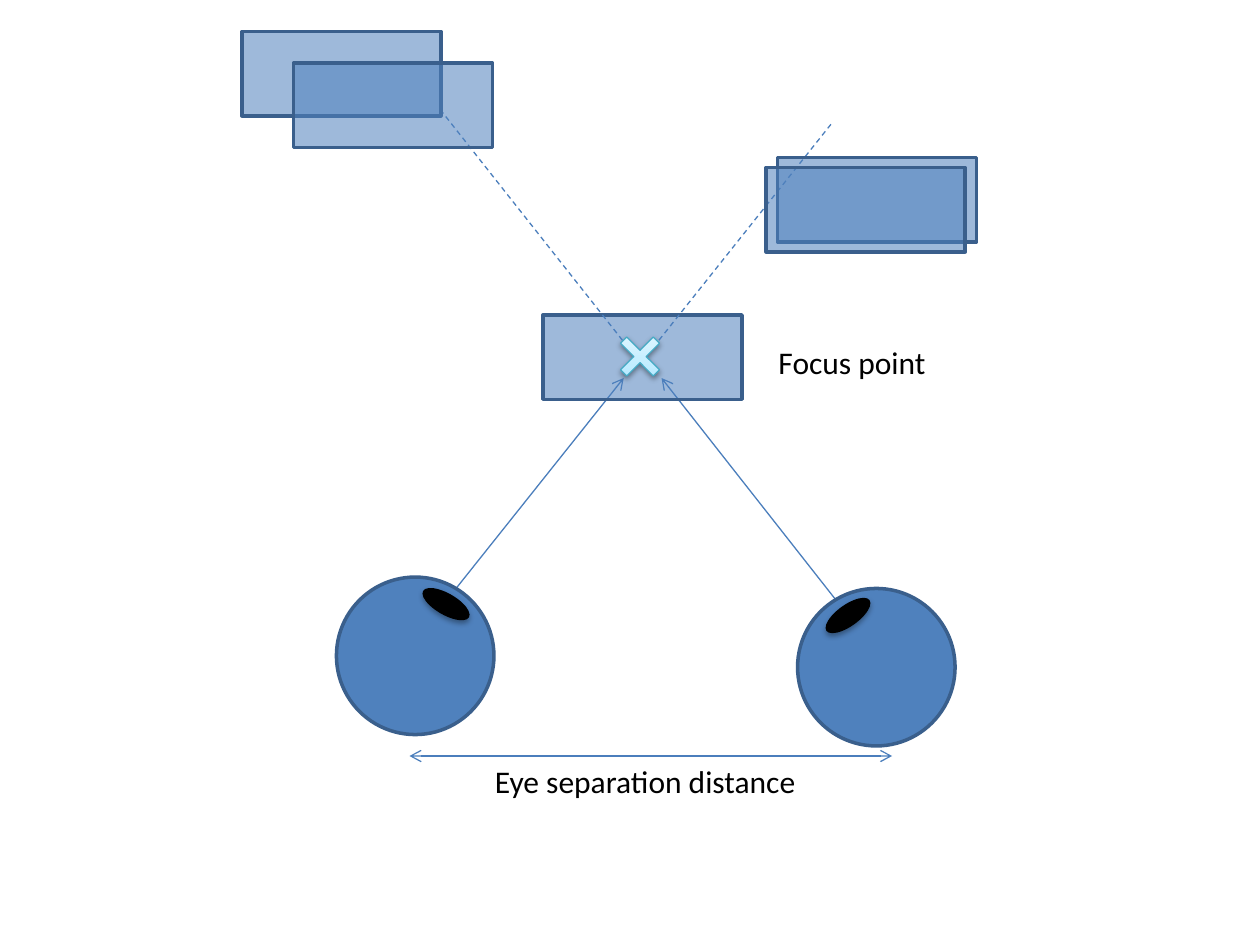
from copy import deepcopy
from dataclasses import dataclass
from typing import Optional

from lxml.etree import SubElement
from pptx import Presentation
from pptx.dml.color import RGBColor
from pptx.enum.dml import MSO_LINE
from pptx.enum.shapes import MSO_CONNECTOR, MSO_SHAPE
from pptx.enum.text import MSO_AUTO_SIZE
from pptx.oxml.ns import qn
from pptx.util import Inches, Pt

BLUE = RGBColor(0x4F, 0x81, 0xBD)
OUTLINE = RGBColor(0x3A, 0x5F, 0x8C)
RAY = RGBColor(0x4B, 0x7E, 0xBC)
CROSS_EDGE = RGBColor(0x46, 0xAA, 0xC5)
BLACK = RGBColor(0x00, 0x00, 0x00)
CROSS_STOPS = (
    (0, RGBColor(0xA7, 0xE6, 0xFF)),
    (0.35, RGBColor(0xC1, 0xED, 0xFF)),
    (1, RGBColor(0xE7, 0xF8, 0xFF)),
)
FONT = {"name": "Calibri", "size": Pt(18)}
FRAME = {"word_wrap": False, "auto_size": MSO_AUTO_SIZE.SHAPE_TO_FIT_TEXT}


@dataclass(frozen=True)
class Line:
    start: tuple[float, float]
    end: tuple[float, float]
    head: bool = False
    tail: bool = False
    dashed: bool = False


@dataclass(frozen=True)
class Figure:
    kind: MSO_SHAPE
    left: float
    top: float
    width: float
    height: float
    fill: Optional[RGBColor] = BLUE
    outline: Optional[RGBColor] = OUTLINE
    weight: float = 2
    opacity: int = 100
    rotation: float = 0
    shadow: int = 0


@dataclass(frozen=True)
class Label:
    text: str
    left: float
    top: float
    width: float


def panel(left: float, top: float) -> Figure:
    return Figure(MSO_SHAPE.RECTANGLE, left, top, 1.58, 0.67, opacity=55)


def eye(left: float, top: float) -> Figure:
    return Figure(MSO_SHAPE.OVAL, left, top, 1.25, 1.25)


def pupil(left: float, top: float, rotation: float) -> Figure:
    return Figure(MSO_SHAPE.OVAL, left, top, 0.42, 0.17, fill=BLACK,
                  outline=None, rotation=rotation, shadow=35)


SCENE = (
    Line((3.58, 4.72), (4.95, 3), tail=True),
    Line((6.68, 4.82), (5.25, 3), tail=True),
    eye(2.67, 4.58),
    eye(6.33, 4.67),
    pupil(3.33, 4.71, 29.9),
    pupil(6.52, 4.8, 324.5),
    panel(4.31, 2.5),
    Figure(MSO_SHAPE.MATH_MULTIPLY, 4.83, 2.58, 0.5, 0.5, fill=None,
           outline=CROSS_EDGE, weight=0.75, shadow=38),
    Line((5.23, 2.7), (6.6, 0.98), dashed=True),
    Line((4.94, 2.7), (3.51, 0.89), dashed=True),
    panel(1.92, 0.25),
    panel(2.33, 0.5),
    panel(6.17, 1.25),
    panel(6.08, 1.33),
    Label("Focus point", 6.08, 2.67, 1.51),
    Line((3.25, 6), (7.08, 6), head=True, tail=True),
    Label("Eye separation distance", 3.83, 6, 2.89),
)


def draw_line(page, line: Line) -> None:
    points = [Inches(value) for value in line.start + line.end]
    connector = page.shapes.add_connector(MSO_CONNECTOR.STRAIGHT, *points)
    connector.line.color.rgb = RAY
    connector.line.width = Pt(0.75)
    if line.dashed:
        connector.line.dash_style = MSO_LINE.DASH
    properties = connector._element.spPr
    outline = properties.find(qn("a:ln"))
    for tag, shown in (("a:headEnd", line.head), ("a:tailEnd", line.tail)):
        if shown:
            SubElement(outline, qn(tag), type="arrow")
    SubElement(properties, qn("a:effectLst"))


def fill_cross(shape) -> None:
    shape.adjustments[0] = 0.139
    shape.fill.gradient()
    shape.fill.gradient_angle = 90
    stop_list = shape._element.spPr.find(".//" + qn("a:gsLst"))
    stop_list.append(deepcopy(stop_list[0]))
    for stop, (position, color) in zip(shape.fill.gradient_stops, CROSS_STOPS):
        stop.position = position
        stop.color.rgb = color


def add_shadow(shape, opacity: int) -> None:
    effects = shape._element.spPr.find(qn("a:effectLst"))
    outer = SubElement(effects, qn("a:outerShdw"), blurRad=str(Pt(3.1)),
                       dist=str(Pt(1.7)), dir="5400000", rotWithShape="0")
    color = SubElement(outer, qn("a:srgbClr"), val=str(BLACK))
    SubElement(color, qn("a:alpha"), val=str(opacity * 1000))


def draw_figure(page, figure: Figure) -> None:
    bounds = (figure.left, figure.top, figure.width, figure.height)
    shape = page.shapes.add_shape(figure.kind, *map(Inches, bounds))
    shape.rotation = figure.rotation
    shape.shadow.inherit = False
    if figure.fill is None:
        fill_cross(shape)
    else:
        shape.fill.solid()
        shape.fill.fore_color.rgb = figure.fill
    if figure.opacity < 100:
        color = shape._element.spPr.find(qn("a:solidFill"))[0]
        SubElement(color, qn("a:alpha"), val=str(figure.opacity * 1000))
    if figure.outline is None:
        shape.line.fill.background()
    else:
        shape.line.color.rgb = figure.outline
        shape.line.width = Pt(figure.weight)
    if figure.shadow:
        add_shadow(shape, figure.shadow)


def draw_label(page, label: Label) -> None:
    bounds = (label.left, label.top, label.width, 0.4)
    box = page.shapes.add_textbox(*map(Inches, bounds))
    for name, value in FRAME.items():
        setattr(box.text_frame, name, value)
    span = box.text_frame.paragraphs[0].add_run()
    span.text = label.text
    for name, value in FONT.items():
        setattr(span.font, name, value)
    span.font.color.rgb = BLACK


DRAWERS = {Line: draw_line, Figure: draw_figure, Label: draw_label}

deck = Presentation()
deck.slide_width, deck.slide_height = Inches(10), Inches(7.5)
page = deck.slides.add_slide(deck.slide_layouts[6])
for item in SCENE:
    DRAWERS[type(item)](page, item)
deck.save("out.pptx")
